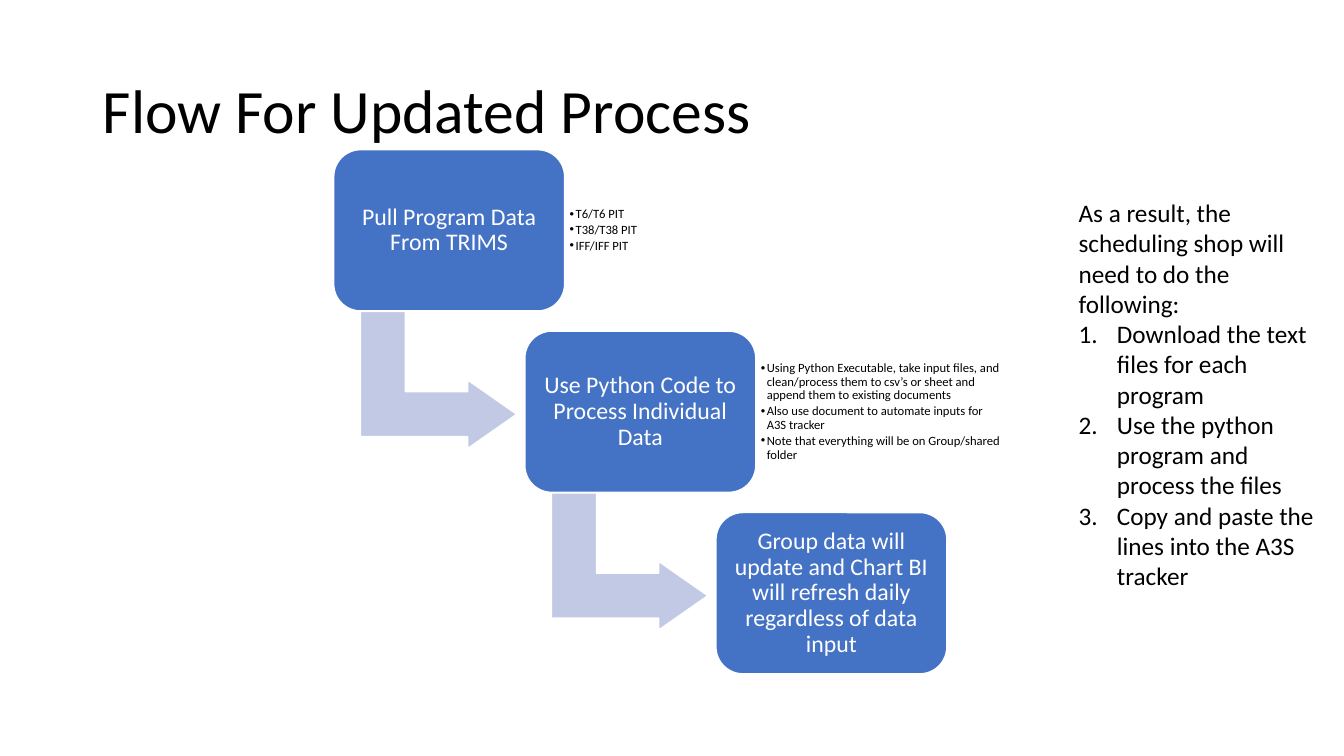
from pptx import Presentation
from pptx.dml.color import RGBColor as Rgb
from pptx.enum.shapes import MSO_SHAPE as Kind
from pptx.enum.text import MSO_ANCHOR as Anchor, MSO_AUTO_SIZE as Auto, PP_ALIGN as Align
from pptx.util import Inches, Pt
from lxml.etree import SubElement as Sub
from pptx.oxml.ns import qn

INK = {"text": "000000", "box": "4472C4", "arrow": "C1C9E4", "white": "FFFFFF"}
WIDE, HIGH = Inches(13.33), Inches(7.5)
STEP = (14.22, 24)
SIZE = (17.18, 21.33)
FLOW = [
    ("Pull Program Data From TRIMS", 12.53,
     ["T6/T6 PIT", "T38/T38 PIT", "IFF/IFF PIT"]),
    ("Use Python Code to Process Individual Data", 18.68,
     ["Using Python Executable, take input files, and clean/process them to "
      "csv’s or sheet and append them to existing documents",
      "Also use document to automate inputs for A3S tracker",
      "Note that everything will be on Group/shared folder"]),
    ("Group data will update and Chart BI will refresh daily regardless of data input",
     0, []),
]
LEAD = "As a result, the scheduling shop will need to do the following:"
TASKS = ["Download the text files for each program",
         "Use the python program and process the files",
         "Copy and paste the lines into the A3S tracker"]


def place(x, y, w, h):
    return [int(v * full / 100) for v, full in zip((x, y, w, h), (WIDE, HIGH) * 2)]


def apply(item, form):
    for name, value in form.items():
        setattr(item, name, value)


def write(frame, lines, size, ink="text", form=None, **para):
    apply(frame, {"word_wrap": True, **(form or {})})
    for i, line in enumerate(lines):
        p = frame.add_paragraph() if i else frame.paragraphs[0]
        apply(p, para)
        run = p.add_run()
        run.text = line
        apply(run.font, {"name": "Calibri", "size": Pt(size)})
        run.font.color.rgb = Rgb.from_string(INK[ink])
    return frame.paragraphs


def bullet(p, indent, tag, **attrs):
    props = p._p.get_or_add_pPr()
    props.set("marL", str(Inches(indent)))
    props.set("indent", str(-Inches(indent)))
    Sub(props, qn("a:buFont"), typeface="Arial" if tag == "a:buChar" else "+mj-lt")
    Sub(props, qn(tag), **attrs)


def pad(gap):
    return {"margin_" + side: Inches(gap) for side in ("left", "top", "right", "bottom")}


def block(slide, kind, box, ink, ratios):
    item = slide.shapes.add_shape(kind, *place(*box))
    item.shadow.inherit = False
    item.fill.solid()
    item.fill.fore_color.rgb = Rgb.from_string(INK[ink])
    item.line.color.rgb = Rgb.from_string(INK["white"])
    item.line.width = Pt(1)
    for i, ratio in enumerate(ratios):
        item.adjustments[i] = ratio
    return item


def head(slide, box):
    title = slide.shapes.title
    apply(title, dict(zip(("left", "top", "width", "height"), place(*box))))
    write(title.text_frame, ["Flow For Updated Process"], 44,
          form={"vertical_anchor": Anchor.MIDDLE, "auto_size": Auto.NONE},
          alignment=Align.LEFT, line_spacing=0.9)


def stage(slide, box, label, span, notes):
    x, y, w, h = box
    if notes:
        arrow = block(slide, Kind.BENT_UP_ARROW, (x + 2.7, y + 20.13, 10.2, 20.67),
                      "arrow", (0.328, 0.25, 0.358))
        arrow.rotation = 90
    card = block(slide, Kind.ROUNDED_RECTANGLE, box, "box", (0.167,))
    write(card.text_frame, [label], 17, "white",
          {"vertical_anchor": Anchor.MIDDLE, **pad(0.07)},
          alignment=Align.CENTER, line_spacing=0.9)
    if notes:
        side = slide.shapes.add_textbox(*place(x + w, y + 2, span, h - 4))
        for p in write(side.text_frame, notes, 9,
                       form={"vertical_anchor": Anchor.MIDDLE, **pad(0.05)},
                       level=1, line_spacing=0.9, space_after=Pt(1.6)):
            bullet(p, 0.06, "a:buChar", char="•")


def tasks(slide, box):
    side = slide.shapes.add_textbox(*place(*box))
    lines = write(side.text_frame, [LEAD, *TASKS], 18,
                  form={"auto_size": Auto.SHAPE_TO_FIT_TEXT})
    for p in lines[1:]:
        bullet(p, 0.38, "a:buAutoNum", type="arabicPeriod")


def main():
    deck = Presentation()
    apply(deck, {"slide_width": WIDE, "slide_height": HIGH})
    slide = deck.slides.add_slide(deck.slide_layouts[5])
    head(slide, (6.9, 5.33, 86.27, 19.33))
    for i, part in enumerate(FLOW):
        stage(slide, (24.83 + i * STEP[0], 19.8 + i * STEP[1], *SIZE), *part)
    tasks(slide, (79.52, 25.47, 19.28, 53.87))
    deck.save("out.pptx")


if __name__ == "__main__":
    main()
